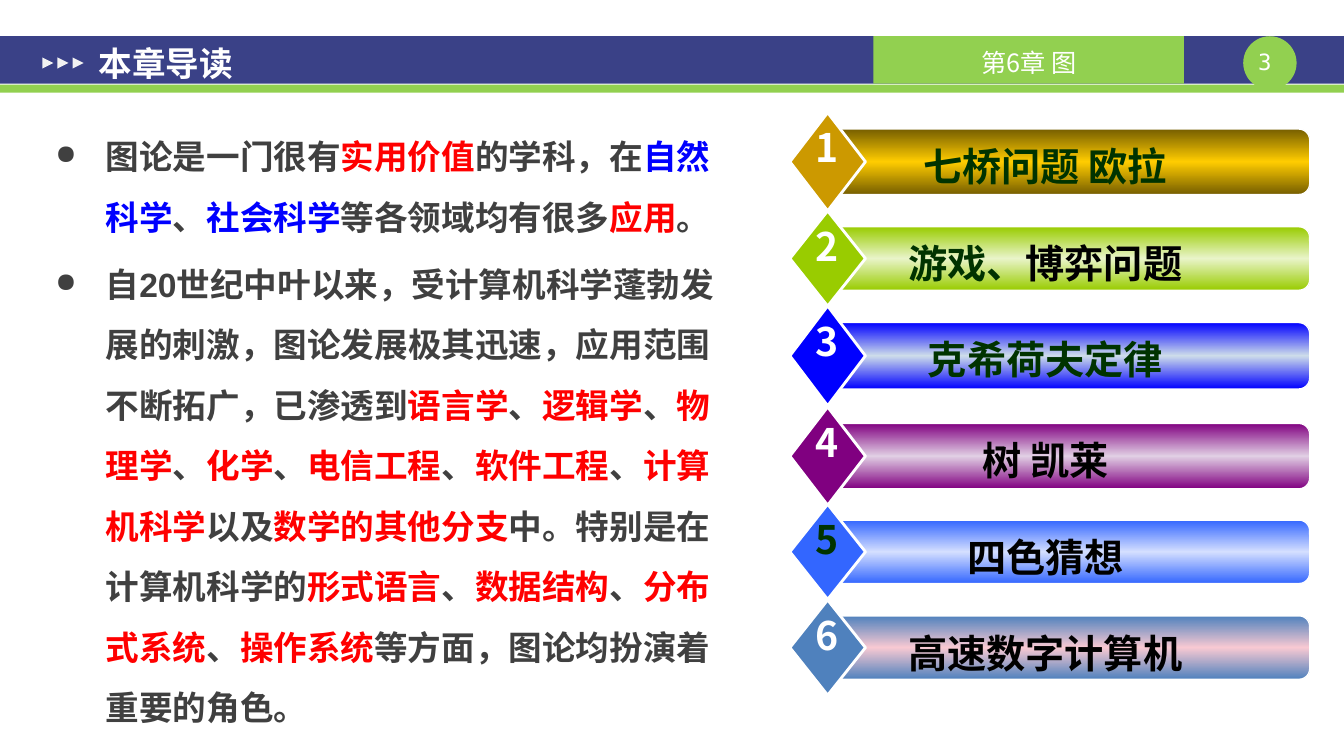
from copy import deepcopy

from lxml import etree
from pptx import Presentation
from pptx import util as u
from pptx.dml.color import RGBColor
from pptx.enum import shapes, text
from pptx.oxml import ns

HUES = {
    "navy": "3A4187", "lime": "92D050", "white": "FFFFFF", "pale": "F2F2F2",
    "ink": "404040", "red": "FF0000", "blue": "0000FF", "black": "000000",
    "pine": "003300",
}
SANS = "Noto Sans CJK SC"
KIND = shapes.MSO_SHAPE
MID = text.MSO_ANCHOR.MIDDLE
TOP = text.MSO_ANCHOR.TOP
LEFT = text.PP_ALIGN.LEFT
CENTER = text.PP_ALIGN.CENTER

BODY = [
    [("图论是一门很有", "ink"), ("实用价值", "red"), ("的学科，在", "ink"),
     ("自然科学", "blue"), ("、", "ink"), ("社会科学", "blue"),
     ("等各领域均有很多", "ink"), ("应用", "red"), ("。", "ink")],
    [("自20世纪中叶以来，受计算机科学蓬勃发展的刺激，图论发展极其迅速，"
      "应用范围不断拓广，已渗透到", "ink"),
     ("语言学", "red"), ("、", "ink"), ("逻辑学", "red"), ("、", "ink"),
     ("物理学", "red"), ("、", "ink"), ("化学", "red"), ("、", "ink"),
     ("电信工程", "red"), ("、", "ink"), ("软件工程", "red"), ("、", "ink"),
     ("计算机科学", "red"), ("以及", "ink"), ("数学的其他分支", "red"),
     ("中。特别是在计算机科学的", "ink"), ("形式语言", "red"), ("、", "ink"),
     ("数据结构", "red"), ("、", "ink"), ("分布式系统", "red"), ("、", "ink"),
     ("操作系统", "red"), ("等方面，图论均扮演着重要的角色。", "ink")],
]

TOPICS = [
    (1.28, 0.65, "CC9900", "765E00", "FFCC00", "white", [("七桥问题 欧拉", "pine")]),
    (2.25, 0.63, "99CC00", "99CC00", "E9F4C9", "white",
     [("游戏、", "pine"), ("博弈问题", "black")]),
    (3.2, 0.66, "0000FF", "0000FF", "CDDCEA", "white", [("克希荷夫定律", "pine")]),
    (4.2, 0.65, "800080", "800080", "E1CFE4", "white", [("树 凯莱", "black")]),
    (5.16, 0.63, "3366FF", "3366FF", "D4DFFF", "pine", [("四色猜想", "black")]),
    (6.11, 0.63, "4F81BD", "4F81BD", "F8C9D2", "white", [("高速数字计算机", "black")]),
]


def tint(name):
    return RGBColor.from_string(HUES.get(name, name))


def shape(home, kind, x, y, w, h, fill, line=0):
    item = home.add_shape(kind, *map(u.Inches, (x, y, w, h)))
    item.shadow.inherit = False
    item.fill.solid()
    item.fill.fore_color.rgb = tint(fill)
    if line:
        item.line.color.rgb = tint("white")
        item.line.width = u.Pt(line)
    else:
        item.line.fill.background()
    return item


def blend(item, edge, core):
    item.fill.gradient()
    stops = item._element.spPr.find(".//" + ns.qn("a:gsLst"))
    stops.append(deepcopy(stops[0]))
    for stop, place, hue in zip(item.fill.gradient_stops, (0, 0.5, 1), (edge, core, edge)):
        stop.position = place
        stop.color.rgb = tint(hue)
    item.fill.gradient_angle = 90


def bullet(para):
    props = para._p.get_or_add_pPr()
    props.set("marL", str(u.Inches(0.5)))
    props.set("indent", str(-u.Inches(0.5)))
    etree.SubElement(props, ns.qn("a:buSzPct")).set("val", "80000")
    etree.SubElement(props, ns.qn("a:buChar")).set("char", "●")


def write(home, box, paras, size, face=SANS, bold=False, align=LEFT, anchor=TOP,
          pad=(0.1, 0.05, 0.1, 0.05), wrap=True, dots=False, lines=None, gap=0):
    item = home.add_textbox(*map(u.Inches, box))
    frame = item.text_frame
    frame.word_wrap = wrap
    frame.vertical_anchor = anchor
    (frame.margin_left, frame.margin_top,
     frame.margin_right, frame.margin_bottom) = map(u.Inches, pad)
    for i, runs in enumerate(paras):
        para = frame.paragraphs[0] if i == 0 else frame.add_paragraph()
        if dots:
            bullet(para)
        para.alignment = align
        para.line_spacing = lines
        if i and gap:
            para.space_before = u.Pt(gap)
        for words, hue in runs:
            run = para.add_run()
            run.text = words
            font = run.font
            font.size, font.bold, font.name = u.Pt(size), bold, face
            font.color.rgb = tint(hue)
            east = etree.SubElement(run._r.get_or_add_rPr(), ns.qn("a:ea"))
            east.set("typeface", SANS)
    return item


def header(home, x, y, w, h):
    shape(home, KIND.RECTANGLE, x, y, w, h, "navy")
    shape(home, KIND.RECTANGLE, x, y + 0.48, w, 0.08, "lime")
    shape(home, KIND.OVAL, x + 12.34, y, 0.53, 0.53, "lime")
    write(home, (x + 12.29, y + 0.12, 0.53, 0.27), [[("3", "white")]], 16,
          face="DejaVu Sans Mono", align=CENTER, pad=(0, 0, 0, 0))
    shape(home, KIND.RECTANGLE, x + 8.67, y, 3.08, h, "lime")
    write(home, (x + 8.67, y, 3.08, h), [[("第6章 图", "white")]], 18,
          align=CENTER, anchor=MID, pad=(0.1, 0.04, 0.1, 0))
    for i in range(3):
        mark = shape(home, KIND.ISOSCELES_TRIANGLE, x + 0.42 + 0.15 * i, y + 0.21,
                     0.11, 0.11, "pale")
        mark.rotation = 90
    write(home, (x + 0.85, y + 0.03, 5.83, h), [[("本章导读", "white")]], 24,
          face="Arial", bold=True, anchor=MID, pad=(0.13, 0.07, 0.13, 0.07))


def guide(home, x, y, w, h):
    write(home, (x, y, w, h), BODY, 24, face="Arial", bold=True, dots=True,
          pad=(0.13, 0.07, 0.13, 0.07), lines=1.5, gap=4.8)


def topic(home, x, y, w, h, num, gem, edge, core, ink, label):
    group = home.add_group_shape().shapes
    bar = shape(group, KIND.ROUNDED_RECTANGLE, x + 0.41, y, w - 0.41, h, edge, line=1)
    bar.adjustments[0] = 0.167
    blend(bar, edge, core)
    peak = y - h / 4
    shape(group, KIND.DIAMOND, x, peak, 0.75, h * 1.5, gem, line=2)
    write(group, (x + 0.66, y + 0.08, 3.75, 0.57), [label], 28, bold=True, align=CENTER)
    write(group, (x + 0.16, peak + 0.06, 0.4, 0.57), [[(str(num), ink)]], 28,
          bold=True, align=CENTER, wrap=False)


def main():
    deck = Presentation()
    deck.slide_width, deck.slide_height = u.Inches(13.34), u.Inches(7.5)
    home = deck.slides.add_slide(deck.slide_layouts[6]).shapes
    header(home, 0, 0.36, 13.34, 0.47)
    guide(home, 0.42, 1.08, 6.84, 6.17)
    for num, (y, h, *style) in enumerate(TOPICS, 1):
        topic(home, 7.84, y, 5.16, h, num, *style)
    deck.save("out.pptx")


if __name__ == "__main__":
    main()
